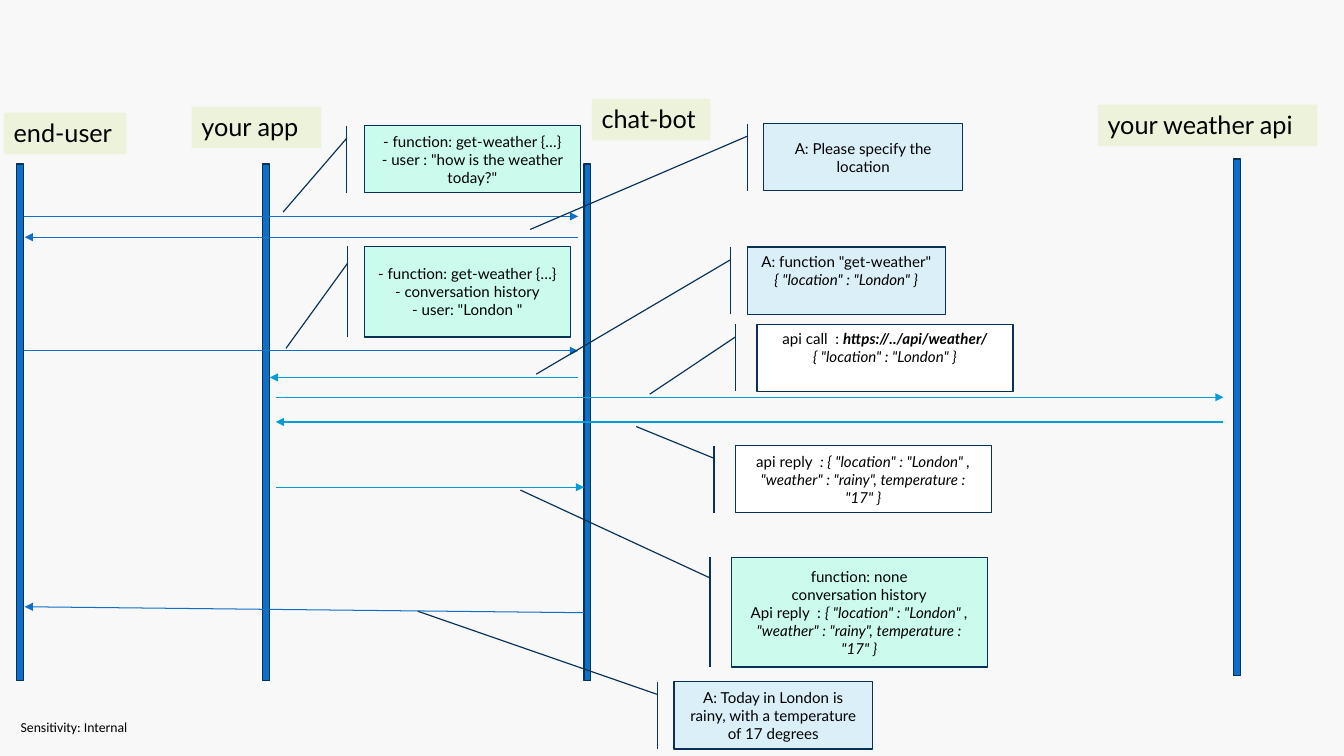
from lxml import etree
from pptx import Presentation
from pptx import util as u
from pptx.dml.color import RGBColor
from pptx.enum import shapes, text
from pptx.oxml.ns import qn

COLORS = {
    "background": "F8F8F8", "lifeline": "0F6FC6", "outline": "073157",
    "api": "009DD9", "request": "CAFBED", "answer": "DBEFF9",
    "call": "FFFFFF", "label": "EDF3DB", "ink": "000000",
}


class SequenceSlide:
    font = "Lato"

    def __init__(self, prs):
        self.slide = prs.slides.add_slide(prs.slide_layouts[6])
        fill = self.slide.background.fill
        fill.solid()
        fill.fore_color.rgb = self.color("background")

    def color(self, name):
        return RGBColor.from_string(COLORS[name])

    def shape(self, kind, box, fill, line=None):
        sp = self.slide.shapes.add_shape(kind, *map(u.Inches, box))
        sp.shadow.inherit = False
        sp.fill.solid()
        sp.fill.fore_color.rgb = self.color(fill)
        if line:
            sp.line.color.rgb = self.color(line)
            sp.line.width = u.Pt(0.85)
        else:
            sp.line.fill.background()
        return sp

    def format_run(self, r, size, font=None):
        r.font.name = font or self.font
        r.font.size = u.Pt(size)
        r.font.color.rgb = self.color("ink")

    def lifeline(self, x, y):
        self.shape(shapes.MSO_SHAPE.RECTANGLE, (x, y, 0.07, 5.23), "lifeline", "outline")

    def label(self, caption, x, y, width):
        sp = self.shape(shapes.MSO_SHAPE.RECTANGLE, (x, y, width, 0.42), "label")
        tf = sp.text_frame
        tf.text = caption
        tf.word_wrap = False
        tf.auto_size = text.MSO_AUTO_SIZE.SHAPE_TO_FIT_TEXT
        tf.vertical_anchor = text.MSO_ANCHOR.TOP
        p = tf.paragraphs[0]
        p.alignment = text.PP_ALIGN.LEFT
        self.format_run(p.runs[0], 18.4)

    def message(self, x1, y1, x2, y2, color, width):
        ends = map(u.Inches, (x1, y1, x2, y2))
        cn = self.slide.shapes.add_connector(shapes.MSO_CONNECTOR.STRAIGHT, *ends)
        cn.line.color.rgb = self.color(color)
        cn.line.width = u.Pt(width)
        ln = cn.line._get_or_add_ln()
        etree.SubElement(ln, qn("a:tailEnd"), type="triangle")
        etree.SubElement(cn._element.spPr, qn("a:effectLst"))

    def callout(self, box, pointer, fill, lines, anchor=text.MSO_ANCHOR.MIDDLE):
        kind = shapes.MSO_SHAPE.LINE_CALLOUT_1_BORDER_AND_ACCENT_BAR
        sp = self.shape(kind, box, fill, "outline")
        for i, value in enumerate((0.188, -0.083) + pointer):
            sp.adjustments[i] = value
        tf = sp.text_frame
        tf.word_wrap = True
        tf.vertical_anchor = anchor
        for i, line in enumerate(lines):
            p = tf.paragraphs[0] if i == 0 else tf.add_paragraph()
            p.alignment = text.PP_ALIGN.CENTER
            for words, style in line:
                r = p.add_run()
                r.text = words
                self.format_run(r, 11)
                r.font.bold = "b" in style
                r.font.italic = "i" in style

    def footer(self, caption, box):
        tf = self.slide.shapes.add_textbox(*map(u.Inches, box)).text_frame
        tf.text = caption
        tf.word_wrap = True
        tf.margin_left = tf.margin_right = tf.margin_top = tf.margin_bottom = 0
        self.format_run(tf.paragraphs[0].runs[0], 10, "Calibri")


def main():
    prs = Presentation()
    prs.slide_width = u.Inches(13.6)
    prs.slide_height = u.Inches(7.65)
    s = SequenceSlide(prs)

    s.footer("Sensitivity: Internal", (0.21, 7.27, 1.3, 0.17))

    for x, y in ((2.66, 1.66), (5.91, 1.66), (12.48, 1.61)):
        s.lifeline(x, y)

    for ends in (
        (0.22, 2.19, 5.85, 2.19),
        (5.85, 2.4, 0.25, 2.4),
        (0.22, 3.55, 5.85, 3.55),
        (5.91, 6.2, 0.25, 6.14),
    ):
        s.message(*ends, "lifeline", 0.75)
    for x1, x2, y in (
        (5.85, 2.73, 3.82),
        (2.79, 12.38, 4.02),
        (2.79, 5.91, 4.93),
        (12.38, 2.79, 4.27),
    ):
        s.message(x1, y, x2, y, "api", 0.85)

    location = '{ "location" : "London" }'
    weather = '{ "location" : "London" , "weather" : "rainy", temperature : "17" }'
    top = text.MSO_ANCHOR.TOP

    s.callout((3.69, 1.27, 2.18, 0.68), (1.289, -0.379), "request", [
        [("- function: get-weather {…}", "")],
        [('- user : "how is the weather today?"', "")],
    ])
    s.callout((3.69, 2.49, 2.08, 0.92), (1.125, -0.383), "request", [
        [("- function: get-weather {…}", "")],
        [("- conversation history", "")],
        [('- user: "London "', "")],
    ])
    s.callout((7.73, 1.25, 2.01, 0.68), (1.577, -1.177), "answer", [
        [("A: Please specify the location", "")],
    ])
    s.callout((7.56, 2.5, 2.01, 0.68), (1.892, -1.062), "answer", [
        [('A: function "get-weather"', "")],
        [(location, "i")],
    ], top)
    s.callout((7.66, 3.28, 2.59, 0.68), (1.043, -0.419), "call", [
        [("api call  : ", ""), ("https://../api/weather/", "bi")],
        [(location, "i")],
    ], top)
    s.callout((7.44, 4.51, 2.59, 0.68), (-0.285, -0.387), "call", [
        [("api reply  ", ""), (": " + weather, "i")],
    ])
    s.callout((7.4, 5.64, 2.59, 1.11), (-0.614, -0.824), "request", [
        [("function: none", "")],
        [("conversation history", "")],
        [("Api reply  : ", ""), (weather, "i")],
    ])
    s.callout((6.82, 6.9, 2.01, 0.68), (-1.052, -1.29), "answer", [
        [("A: Today in London is rainy, with a temperature of 17 degrees", "")],
    ])

    s.lifeline(0.17, 1.66)

    for caption, x, y, width in (
        ("end-user", 0.04, 1.14, 1.24),
        ("your app", 1.94, 1.08, 1.31),
        ("chat-bot", 5.99, 1, 1.2),
        ("your weather api", 11.11, 1.06, 2.22),
    ):
        s.label(caption, x, y, width)

    prs.save("out.pptx")


if __name__ == "__main__":
    main()
